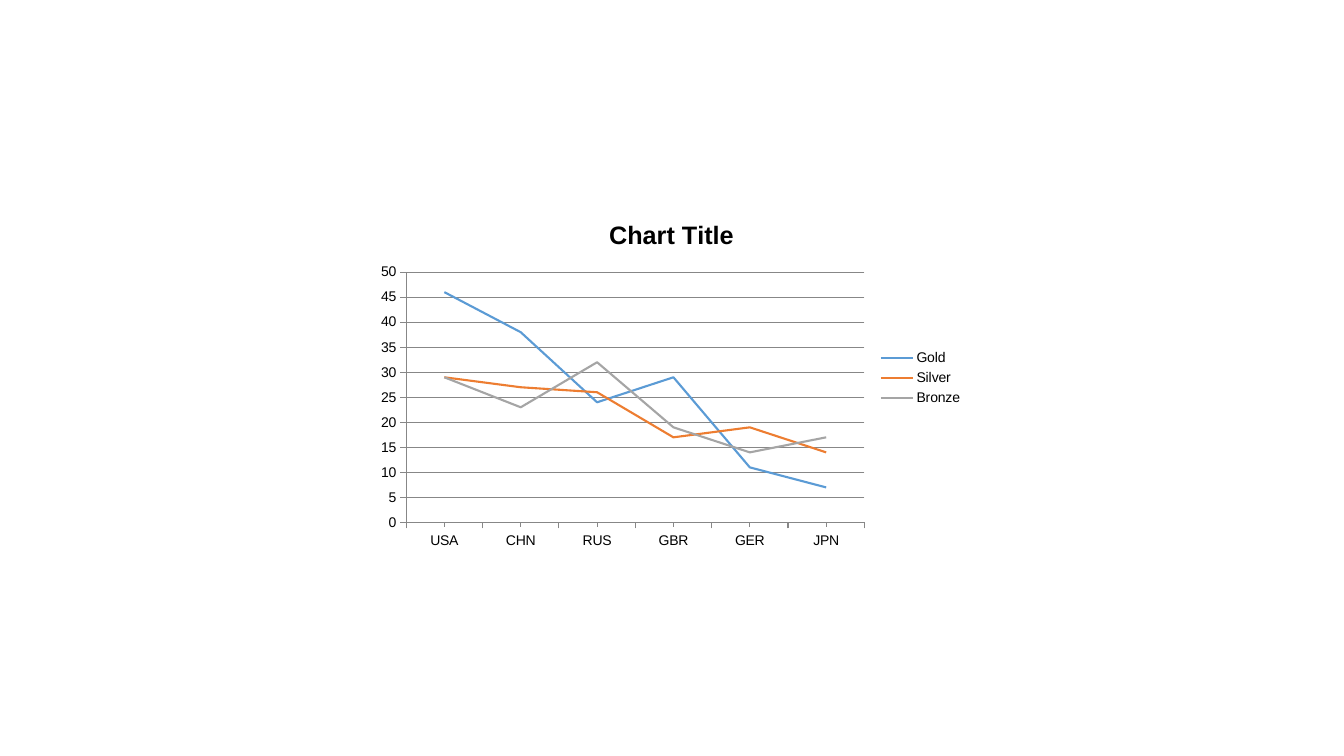
from lxml import etree
from pptx import Presentation
from pptx import util as u
from pptx.chart.data import CategoryChartData
from pptx.dml.color import RGBColor
from pptx.enum import chart as ec

hues = {"Gold": "5B9BD5", "Silver": "ED7D31", "Bronze": "A5A5A5", "text": "000000", "axis": "878787"}
lands = ["USA", "CHN", "RUS", "GBR", "GER", "JPN"]
medals = {
    "Gold": [46, 38, 24, 29, 11, 7],
    "Silver": [29, 27, 26, 17, 19, 14],
    "Bronze": [29, 23, 32, 19, 14, 17],
}


def style(font, size, bold):
    for key, val in {"name": "Arial", "size": u.Pt(size), "bold": bold}.items():
        setattr(font, key, val)
    font.color.rgb = RGBColor.from_string(hues["text"])


def stroke(line, hue, width):
    line.color.rgb = RGBColor.from_string(hues[hue])
    line.width = u.Pt(width)


deck = Presentation()
deck.slide_width, deck.slide_height = u.Inches(13.33), u.Inches(7.5)
slide = deck.slides.add_slide(deck.slide_layouts[6])

data = CategoryChartData()
data.categories = lands
for name, vals in medals.items():
    data.add_series(name, vals)

place = [u.Inches(n) for n in (3.67, 2, 5.98, 3.5)]
chart = slide.shapes.add_chart(ec.XL_CHART_TYPE.LINE, *place, data).chart
style(chart.font, 10, False)

chart.has_title = True
title = chart.chart_title.text_frame
title.text = "Chart Title"
style(title.paragraphs[0].runs[0].font, 18, True)

chart.has_legend = True
for key, val in {"position": ec.XL_LEGEND_POSITION.RIGHT, "include_in_layout": False}.items():
    setattr(chart.legend, key, val)

for row in chart.plots[0].series:
    row.smooth = False
    row.marker.style = ec.XL_MARKER_STYLE.NONE
    stroke(row.format.line, row.name, 1.5)

marks = ec.XL_TICK_MARK
for axis, minor in ((chart.category_axis, marks.OUTSIDE), (chart.value_axis, marks.NONE)):
    axis.major_tick_mark = marks.OUTSIDE
    axis.minor_tick_mark = minor
    stroke(axis.format.line, "axis", 0.75)

scale = {"minimum_scale": 0, "maximum_scale": 50, "major_unit": 5, "has_major_gridlines": True}
for key, val in scale.items():
    setattr(chart.value_axis, key, val)
stroke(chart.value_axis.major_gridlines.format.line, "axis", 0.75)

plot = chart.plots[0]._element.getparent()
space = "{" + etree.QName(plot).namespace + "}"
for old in plot.findall(space + "layout"):
    plot.remove(old)
layout = etree.SubElement(plot, space + "layout")
plot.insert(0, layout)
frame = etree.SubElement(layout, space + "manualLayout")
rules = {
    "layoutTarget": "inner", "xMode": "edge", "yMode": "edge",
    "x": 0.06, "y": 0.2, "w": 0.76, "h": 0.71,
}
for tag, val in rules.items():
    etree.SubElement(frame, space + tag).set("val", str(val))

deck.save("out.pptx")
